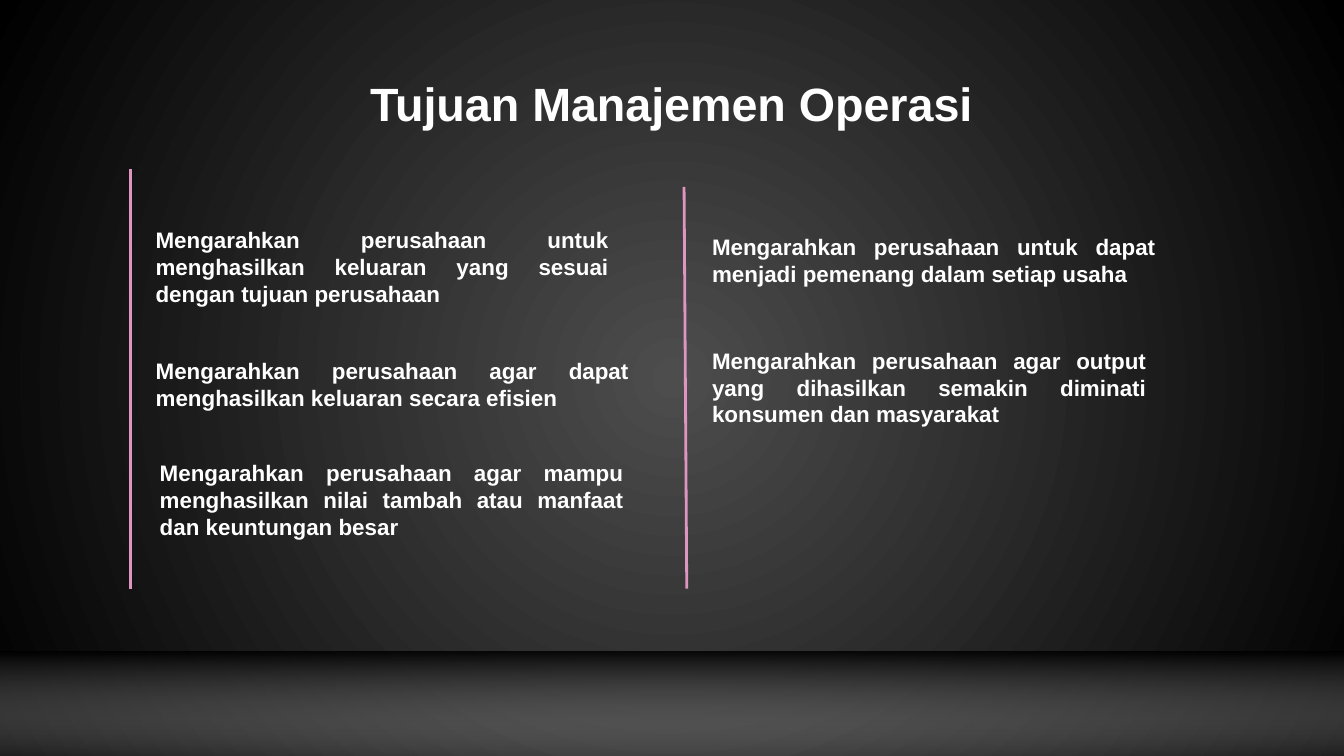
import pptx
import pptx.dml.color
import pptx.enum.shapes
import pptx.enum.text
import pptx.util
import lxml.etree
from pptx.util import Inches

A = "{http://schemas.openxmlformats.org/drawingml/2006/main}"
PP_ALIGN = pptx.enum.text.PP_ALIGN


def rgb(value):
    return pptx.dml.color.RGBColor.from_string(value)


def write_text(sp, box, text, size, align):
    sp.left, sp.top, sp.width, sp.height = [Inches(v) for v in box]
    tf = sp.text_frame
    tf.word_wrap = True
    tf.auto_size = pptx.enum.text.MSO_AUTO_SIZE.NONE
    tf.vertical_anchor = pptx.enum.text.MSO_ANCHOR.MIDDLE
    tf.margin_left = tf.margin_right = Inches(0.1)
    tf.margin_top = tf.margin_bottom = Inches(0.1)
    p = tf.paragraphs[0]
    p.alignment = align
    p.line_spacing = 1.0
    p.space_before = pptx.util.Pt(0)
    r = p.add_run()
    r.text = text
    r.font.name = "Arial"
    r.font.size = pptx.util.Pt(size)
    r.font.bold = True
    r.font.color.rgb = rgb("FFFFFF")


prs = pptx.Presentation()
prs.slide_width = Inches(10)
prs.slide_height = prs.slide_width * 9 // 16
s = prs.slides.add_slide(prs.slide_layouts[5])

bg = s.background.fill
bg.gradient()
for stop, position, color in zip(bg.gradient_stops, (0, 1), ("4D4D4D", "000000")):
    stop.position = position
    stop.color.rgb = rgb(color)
grad = s.background._cSld.find(f".//{A}gradFill")
grad.remove(grad.find(f"{A}lin"))
radial = lxml.etree.SubElement(grad, f"{A}path")
radial.set("path", "circle")
center = lxml.etree.SubElement(radial, f"{A}fillToRect")
for side in "ltrb":
    center.set(side, "50000")

floor = s.shapes.add_shape(pptx.enum.shapes.MSO_SHAPE.RECTANGLE,
                           Inches(4.54), Inches(0.26), Inches(0.94), Inches(10.11))
floor.rotation = 270
floor.shadow.inherit = False
floor.line.fill.background()
floor.fill.gradient()
floor.fill.gradient_angle = 0
for stop, position, color in zip(floor.fill.gradient_stops, (0, 1), ("FFFFFF", "000000")):
    stop.position = position
    stop.color.rgb = rgb(color)
for color, alpha in zip(floor._element.iter(f"{A}srgbClr"), ("0", "85000")):
    lxml.etree.SubElement(color, f"{A}alpha").set("val", alpha)
s.shapes._spTree.remove(floor._element)
s.shapes._spTree.insert(2, floor._element)

write_text(s.shapes.title, (0.77, 0.45, 8.45, 0.63), "Tujuan Manajemen Operasi",
           25, PP_ALIGN.CENTER)

goals = [
    ((1.06, 1.64, 3.57, 0.69),
     "Mengarahkan perusahaan untuk menghasilkan keluaran yang sesuai dengan tujuan perusahaan"),
    ((1.06, 2.51, 3.72, 0.69),
     "Mengarahkan perusahaan agar dapat menghasilkan keluaran secara efisien"),
    ((1.09, 3.38, 3.65, 0.67),
     "Mengarahkan perusahaan agar mampu menghasilkan nilai tambah atau manfaat dan keuntungan besar"),
    ((5.2, 1.59, 3.5, 0.69),
     "Mengarahkan perusahaan untuk dapat menjadi pemenang dalam setiap usaha"),
    ((5.2, 2.47, 3.43, 0.82),
     "Mengarahkan perusahaan agar output yang dihasilkan semakin diminati konsumen dan masyarakat"),
]
for box, text in goals:
    sp = s.shapes.add_textbox(*[Inches(v) for v in box])
    write_text(sp, box, text, 12, PP_ALIGN.JUSTIFY)

for x1, y1, x2, y2 in [(0.97, 1.26, 0.97, 4.38), (5.09, 1.39, 5.11, 4.38)]:
    rule = s.shapes.add_connector(pptx.enum.shapes.MSO_CONNECTOR.STRAIGHT,
                                  Inches(x1), Inches(y1), Inches(x2), Inches(y2))
    rule.line.color.rgb = rgb("DE96C1")
    rule.line.width = pptx.util.Pt(1.5)
    lxml.etree.SubElement(rule._element.spPr, f"{A}effectLst")

prs.save("out.pptx")
